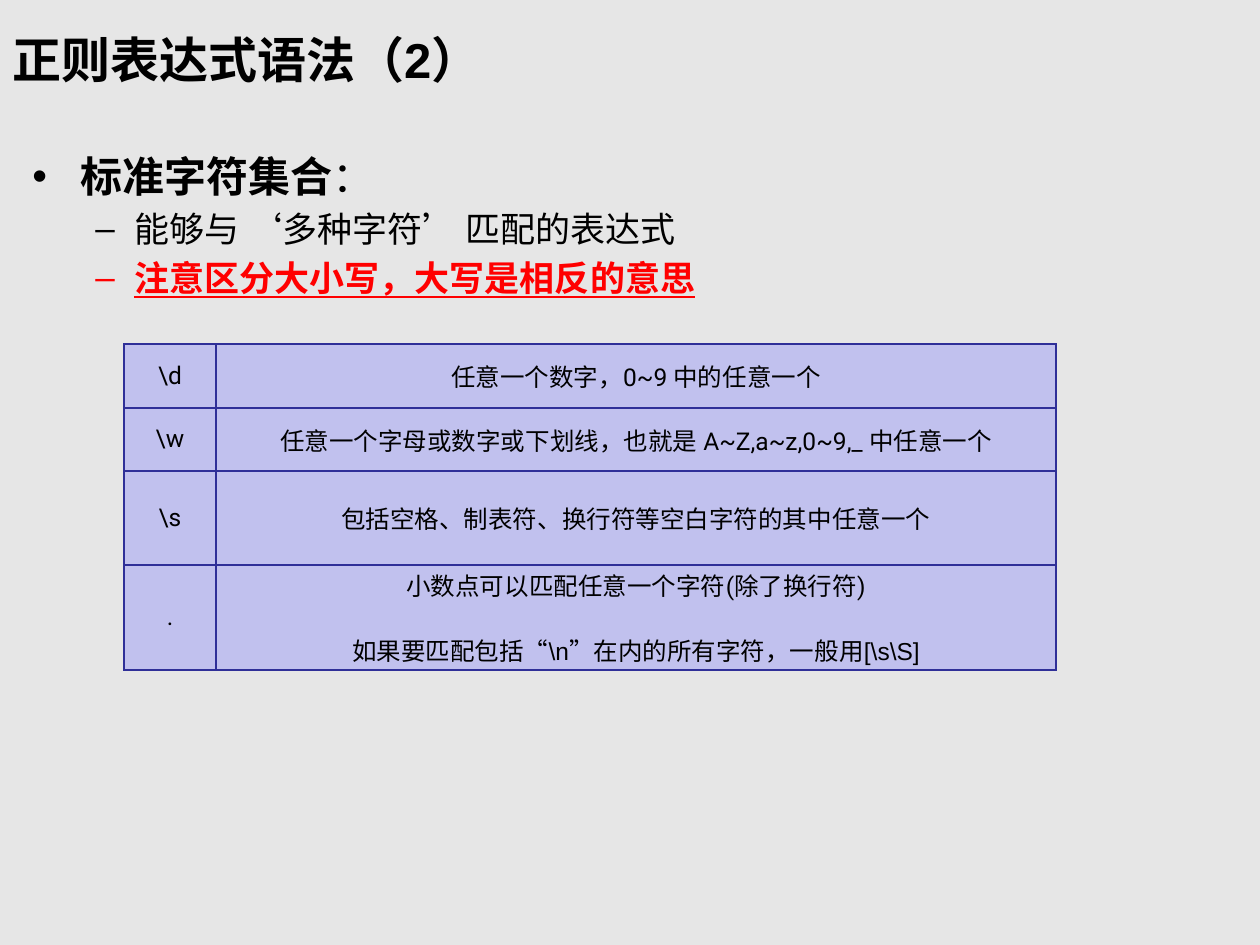
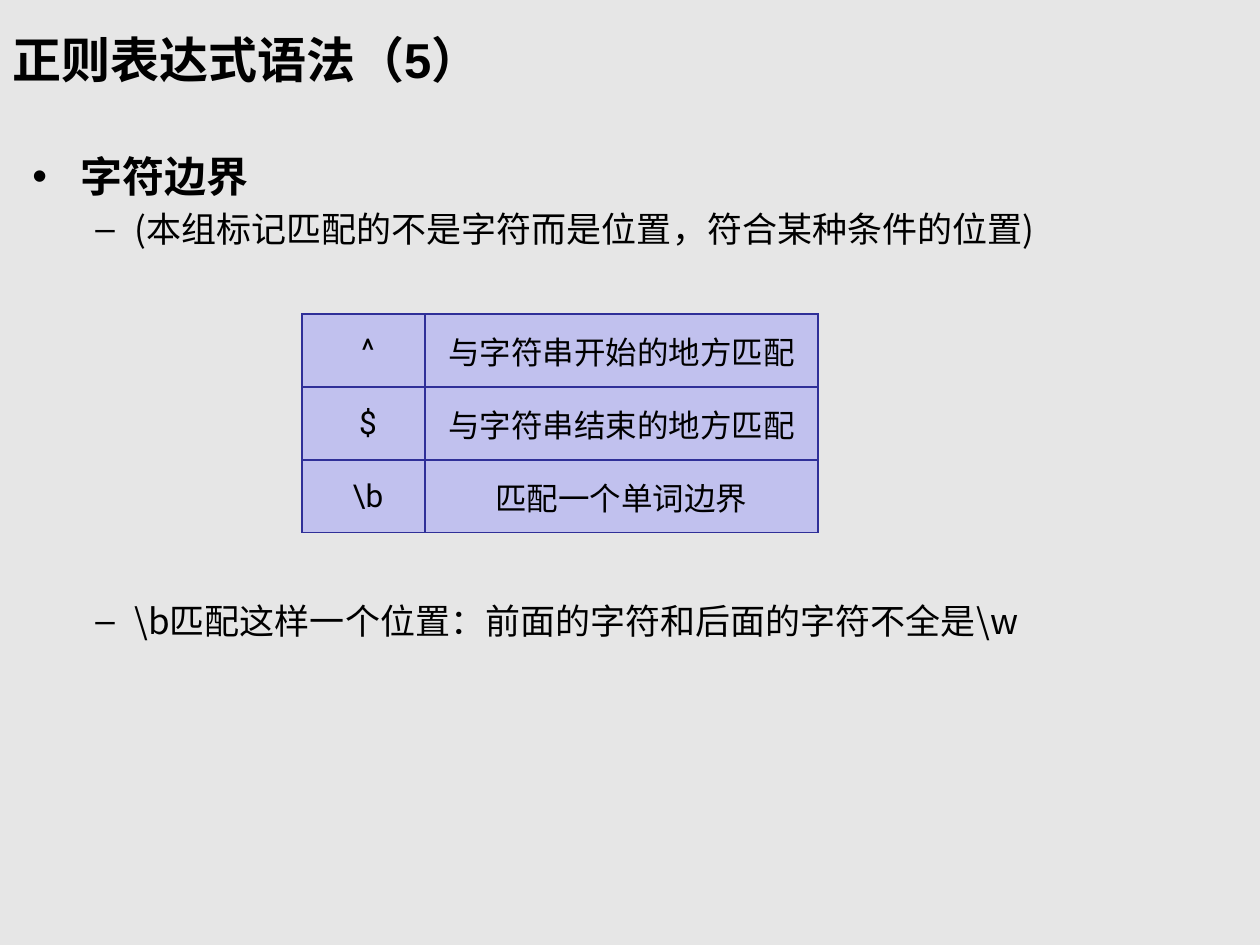
from lxml import etree
from pptx import Presentation
from pptx import util as u
from pptx.dml.color import RGBColor
from pptx.enum import text
from pptx.oxml import ns

GREY = RGBColor(0xE6, 0xE6, 0xE6)
LILAC = RGBColor(0xC1, 0xC1, 0xEE)
NAVY = RGBColor(0x2F, 0x2F, 0x98)
BLACK = RGBColor(0, 0, 0)
RED = RGBColor(0xFF, 0, 0)
CJK, LATIN, ROBOTO = "Noto Sans CJK SC", "Arial", "Roboto"
TITLE_BOX = (0, 0, 1260, 118)
BODY_BOX = (20, 137, 1211, 699)
LEVELS = (("•", 48, 48, 24, 33), ("–", 102, 39, 20, 28))


def px(length):
    """Turn px into EMU."""
    return u.Emu(round(length * 914400 / 126))


def child(parent, tag, **attributes):
    """Append a DrawingML element with the given attributes."""
    return etree.SubElement(parent, ns.qn(tag), attributes)


def add_span(para, words, size, face, colour=BLACK, bold=False, underline=False):
    """Add one formatted run to a paragraph."""
    span = para.add_run()
    span.text = words
    font = span.font
    font.size, font.bold, font.underline = u.Pt(size), bold, underline
    font.color.rgb = colour
    font.name = face
    child(span._r.get_or_add_rPr(), "a:ea", typeface=CJK)


def add_title(page, words):
    """Format and fill the title band."""
    title = page.shapes.title
    title.left, title.top, title.width, title.height = map(px, TITLE_BOX)
    title.fill.solid()
    title.fill.fore_color.rgb = GREY
    frame = title.text_frame
    frame.vertical_anchor = text.MSO_ANCHOR.MIDDLE
    para = frame.paragraphs[0]
    para.alignment = text.PP_ALIGN.LEFT
    add_span(para, words, 28, LATIN, bold=True)


def add_body(page, box, points):
    """Add bulleted points, each a level, a gap before in points, and spans."""
    frame = page.shapes.add_textbox(*map(px, box)).text_frame
    frame.word_wrap = True
    for index, (level, gap, spans) in enumerate(points):
        para = frame.paragraphs[0] if index == 0 else frame.add_paragraph()
        mark, margin, hang, size, pitch = LEVELS[level]
        para.level = level
        para.line_spacing = u.Pt(pitch)
        para.space_before = u.Pt(gap)
        props = para._p.get_or_add_pPr()
        props.set("marL", str(px(margin)))
        props.set("indent", str(px(-hang)))
        child(props, "a:buFont", typeface=LATIN)
        child(props, "a:buChar", char=mark)
        for words, style in spans:
            add_span(para, words, size, CJK, **style)


def frame_cell(cell):
    """Fill a cell and draw its four borders."""
    cell.fill.solid()
    cell.fill.fore_color.rgb = LILAC
    props = cell._tc.get_or_add_tcPr()
    for place, side in enumerate("LRTB"):
        line = child(props, f"a:ln{side}", w=str(u.Pt(0.75)))
        child(child(line, "a:solidFill"), "a:srgbClr", val=str(NAVY))
        props.insert(place, line)


def add_symbol_table(page, corner, widths, heights, rows, size, insets):
    """Add a table of symbols and meanings; each cell is a list of lines."""
    extent = sum(widths), sum(heights)
    grid = page.shapes.add_table(len(rows), len(widths), *map(px, corner + extent)).table
    grid.first_row = grid.horz_banding = False
    for column, width in zip(grid.columns, widths):
        column.width = px(width)
    for row, height, entries in zip(grid.rows, heights, rows):
        row.height = px(height)
        for cell, lines, (left, right) in zip(row.cells, entries, insets):
            frame_cell(cell)
            cell.margin_left, cell.margin_right = px(left), px(right)
            cell.margin_top = cell.margin_bottom = 0
            cell.vertical_anchor = text.MSO_ANCHOR.MIDDLE
            for index, (words, face) in enumerate(lines):
                frame = cell.text_frame
                para = frame.add_paragraph() if index else frame.paragraphs[0]
                para.alignment = text.PP_ALIGN.CENTER
                if index:
                    para.space_before = u.Pt(17)
                add_span(para, words, size, face)


def add_page(deck, title):
    """Add a grey title-only slide."""
    page = deck.slides.add_slide(deck.slide_layouts[5])
    page.background.fill.solid()
    page.background.fill.fore_color.rgb = GREY
    add_title(page, title)
    return page


def build_character_sets(deck):
    """Build the slide on standard character sets."""
    page = add_page(deck, "正则表达式语法（2）")
    add_body(page, BODY_BOX, [
        (0, 0, [("标准字符集合", {"bold": True}), ("：", {})]),
        (1, 0, [("能够与 ‘多种字符’ 匹配的表达式", {})]),
        (1, 0, [("注意区分大小写，大写是相反的意思",
                 {"colour": RED, "bold": True, "underline": True})]),
    ])
    meanings = [
        ("\\d", "任意一个数字，0~9 中的任意一个"),
        ("\\w", "任意一个字母或数字或下划线，也就是 A~Z,a~z,0~9,_ 中任意一个"),
        ("\\s", "包括空格、制表符、换行符等空白字符的其中任意一个"),
        (".", "小数点可以匹配任意一个字符(除了换行符)"),
    ]
    rows = [[[(words, ROBOTO)] for words in pair] for pair in meanings]
    rows[-1][1].append(("如果要匹配包括“\\n”在内的所有字符，一般用[\\s\\S]", LATIN))
    add_symbol_table(page, (124, 344), (92, 840), (64, 63, 94, 105), rows, 14,
                     ((0, 0), (0, 0)))


def build_boundaries(deck):
    """Build the slide on character boundaries."""
    page = add_page(deck, "正则表达式语法（5）")
    add_body(page, BODY_BOX, [
        (0, 0, [("字符边界", {"bold": True})]),
        (1, 0, [("(本组标记匹配的不是字符而是位置，符合某种条件的位置)", {})]),
        (1, 196, [("\\b匹配这样一个位置：前面的字符和后面的字符不全是\\w", {})]),
    ])
    meanings = [
        ("^", "与字符串开始的地方匹配"),
        ("$", "与字符串结束的地方匹配"),
        ("\\b", "匹配一个单词边界"),
    ]
    rows = [[[(words, ROBOTO)] for words in pair] for pair in meanings]
    add_symbol_table(page, (302, 314), (123, 393), (73,) * 3, rows, 18,
                     ((18, 9), (9, 9)))


def main():
    """Build and save the deck."""
    deck = Presentation()
    deck.slide_width, deck.slide_height = px(1260), px(945)
    build_character_sets(deck)
    build_boundaries(deck)
    deck.save("out.pptx")


if __name__ == "__main__":
    main()
